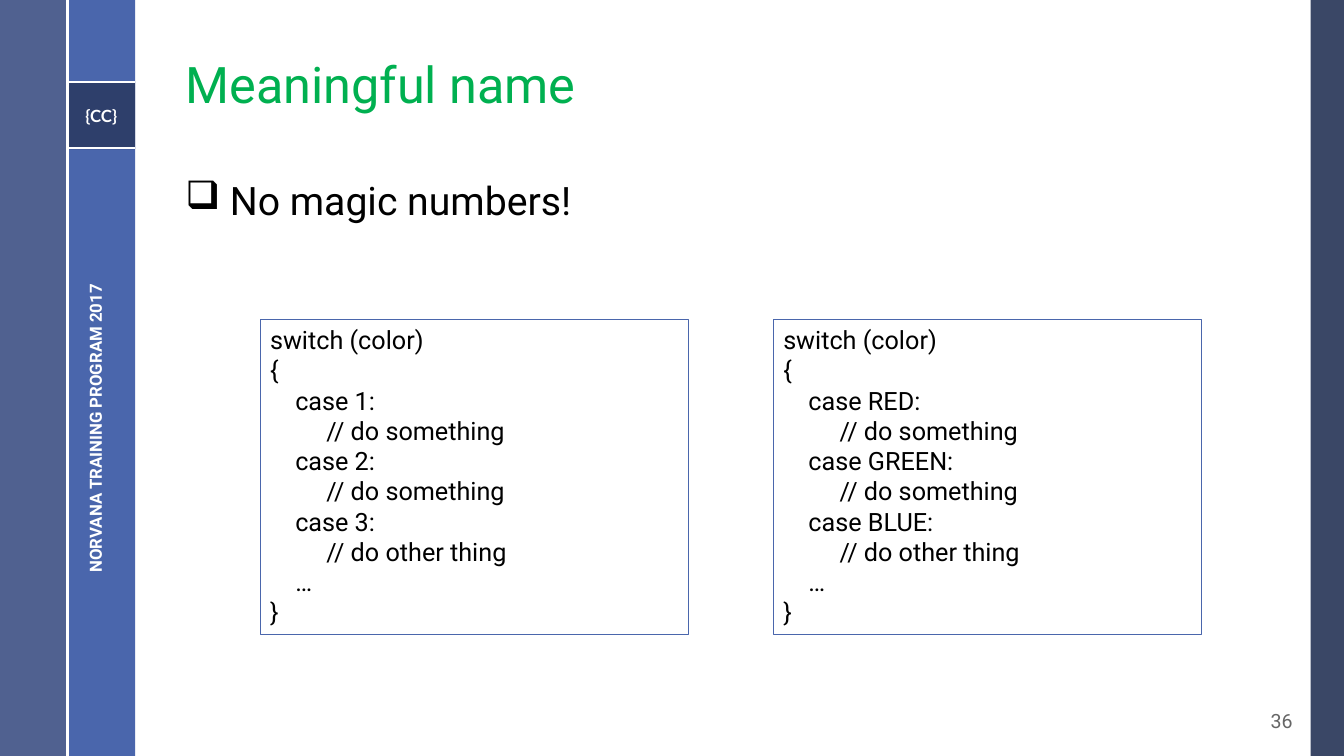
from lxml.etree import SubElement
from pptx import Presentation
from pptx.dml.color import RGBColor
from pptx.enum.shapes import MSO_CONNECTOR, MSO_SHAPE
from pptx.enum.text import MSO_ANCHOR, PP_ALIGN
from pptx.oxml.ns import qn
from pptx.util import Inches, Pt

COLORS = {
    "white": "FFFFFF",
    "black": "000000",
    "gray": "666666",
    "green": "00B050",
    "blue": "4A66AC",
    "slate": "384C81",
    "navy": "253356",
}
CODE_INDENTS = (0, 0.25, 0.56)
BAND = 0.67


class SlideBuilder:
    def __init__(self, slide, font="Roboto"):
        self.slide = slide
        self.font = font

    def color(self, name):
        return RGBColor.from_string(COLORS[name])

    def rectangle(self, box, fill=None, opacity=100, line=None):
        shape = self.slide.shapes.add_shape(
            MSO_SHAPE.RECTANGLE, *map(Inches, box))
        shape.shadow.inherit = False
        if fill:
            shape.fill.solid()
            shape.fill.fore_color.rgb = self.color(fill)
            if opacity < 100:
                properties = shape._element.spPr
                color = properties.find(".//" + qn("a:srgbClr"))
                SubElement(color, qn("a:alpha"), val=str(opacity * 1000))
        else:
            shape.fill.background()
        if line:
            shape.line.color.rgb = self.color(line)
            shape.line.width = Pt(0.75)
        else:
            shape.line.fill.background()
        return shape

    def rule(self, left, top, right, bottom):
        connector = self.slide.shapes.add_connector(
            MSO_CONNECTOR.STRAIGHT, *map(Inches, (left, top, right, bottom)))
        connector.line.color.rgb = self.color("white")
        connector.line.width = Pt(1.5)
        SubElement(connector._element.spPr, qn("a:effectLst"))

    def fill_text(self, shape, lines, size, color, align=PP_ALIGN.LEFT,
                  anchor=MSO_ANCHOR.TOP, bold=False, font=None):
        frame = shape.text_frame
        frame.word_wrap = True
        frame.vertical_anchor = anchor
        frame.text = "\n".join(lines)
        for paragraph in frame.paragraphs:
            paragraph.alignment = align
            for run in paragraph.runs:
                run.font.name = font or self.font
                run.font.size = Pt(size)
                run.font.bold = bold
                run.font.color.rgb = self.color(color)
        return frame.paragraphs

    def text(self, box, content, size, color, **style):
        shape = self.slide.shapes.add_textbox(*map(Inches, box))
        paragraph = self.fill_text(shape, [content], size, color, **style)[0]
        return shape, paragraph

    def indent(self, paragraph, margin, first=0):
        properties = paragraph._p.get_or_add_pPr()
        properties.set("marL", str(Inches(margin)))
        properties.set("indent", str(Inches(first)))
        return properties

    def bullet(self, box, content, size, color):
        paragraph = self.text(box, content, size, color)[1]
        paragraph.line_spacing = 0.9
        paragraph.space_before = Pt(14)
        properties = self.indent(paragraph, 0.27, -0.27)
        SubElement(properties, qn("a:buChar"), char="❑")

    def code(self, left, cases):
        """Draw a framed switch statement with one branch per case."""
        lines = [(0, "switch (color)"), (0, "{")]
        for position, case in enumerate(cases, 1):
            action = "other thing" if position == len(cases) else "something"
            lines += [(1, f"case {case}:"), (2, f"// do {action}")]
        lines += [(1, "…"), (0, "}")]
        shape = self.rectangle((left, 3.17, 4.25, 3.13), line="blue")
        paragraphs = self.fill_text(
            shape, [line for _, line in lines], 18, "black")
        for paragraph, (level, _) in zip(paragraphs, lines):
            self.indent(paragraph, CODE_INDENTS[level])


def main():
    presentation = Presentation()
    presentation.slide_width = Inches(13.33)
    presentation.slide_height = Inches(7.5)
    slide = presentation.slides.add_slide(presentation.slide_layouts[6])
    builder = SlideBuilder(slide)
    middle, center = MSO_ANCHOR.MIDDLE, PP_ALIGN.CENTER

    builder.rectangle((13, 0, 0.33, 7.5), "navy", 90)
    builder.rectangle((BAND, 0, BAND, 7.5), "blue")
    builder.rectangle((0, 0, BAND, 7.5), "slate", 88)
    badge = builder.rectangle((BAND, 0.81, BAND, BAND), "navy", 75)
    builder.fill_text(badge, ["{CC}"], 12, "white", align=center,
                      anchor=middle, bold=True, font="Lato")
    for height in (0.81, 1.47):
        builder.rule(BAND, height, 2 * BAND, height)
    builder.rule(BAND, 0, BAND, 7.5)

    title = builder.text((1.74, 0.19, 10.7, 1.36), "Meaningful name", 36,
                         "green", anchor=middle)[1]
    title.line_spacing = 0.9
    builder.bullet((1.74, 1.75, 10.7, 5), " No magic numbers!", 28, "black")

    program = builder.text((-1.23, 4.05, 4.35, 0.4),
                           "NORVANA TRAINING PROGRAM 2017", 12, "white",
                           align=center, anchor=middle, bold=True)[0]
    program.rotation = 270
    builder.text((12.25, 6.95, 0.67, 0.4), "36", 14, "gray",
                 align=PP_ALIGN.RIGHT, anchor=middle)

    builder.code(2.58, ("1", "2", "3"))
    builder.code(7.67, ("RED", "GREEN", "BLUE"))

    presentation.save("out.pptx")


if __name__ == "__main__":
    main()
